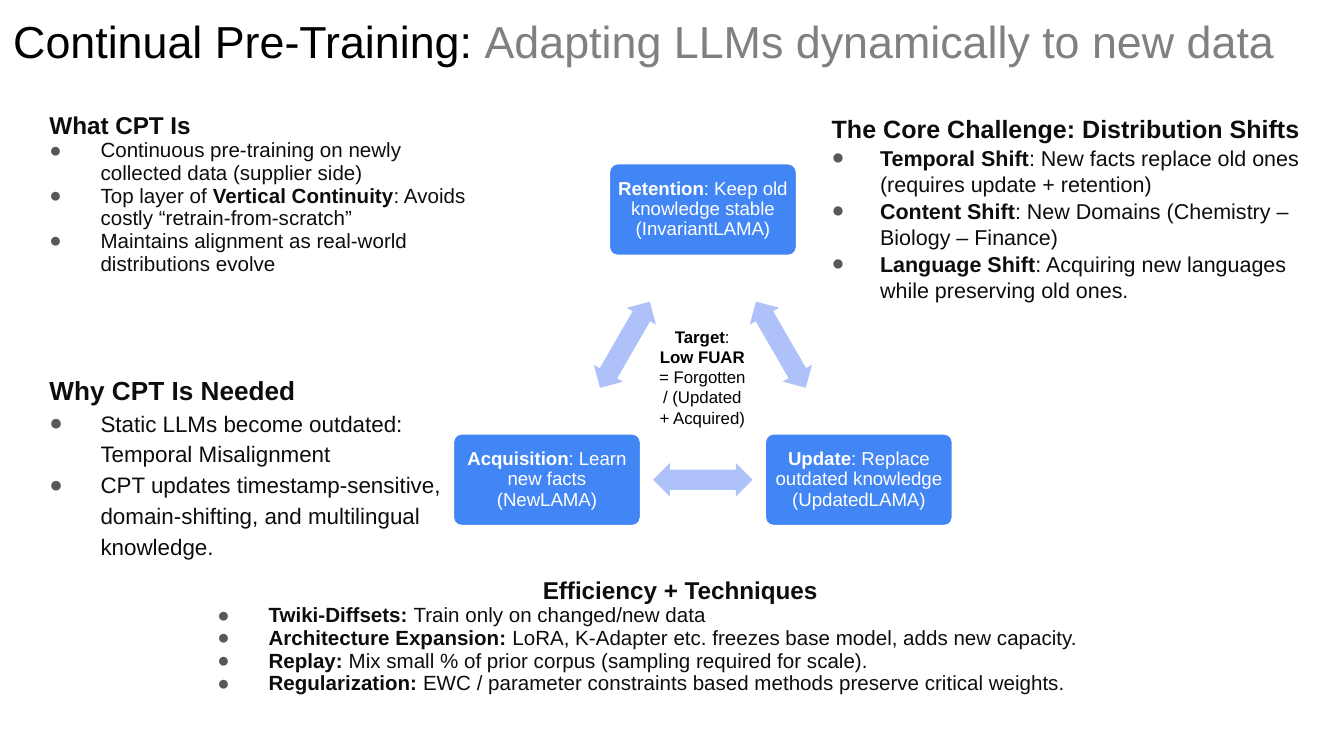
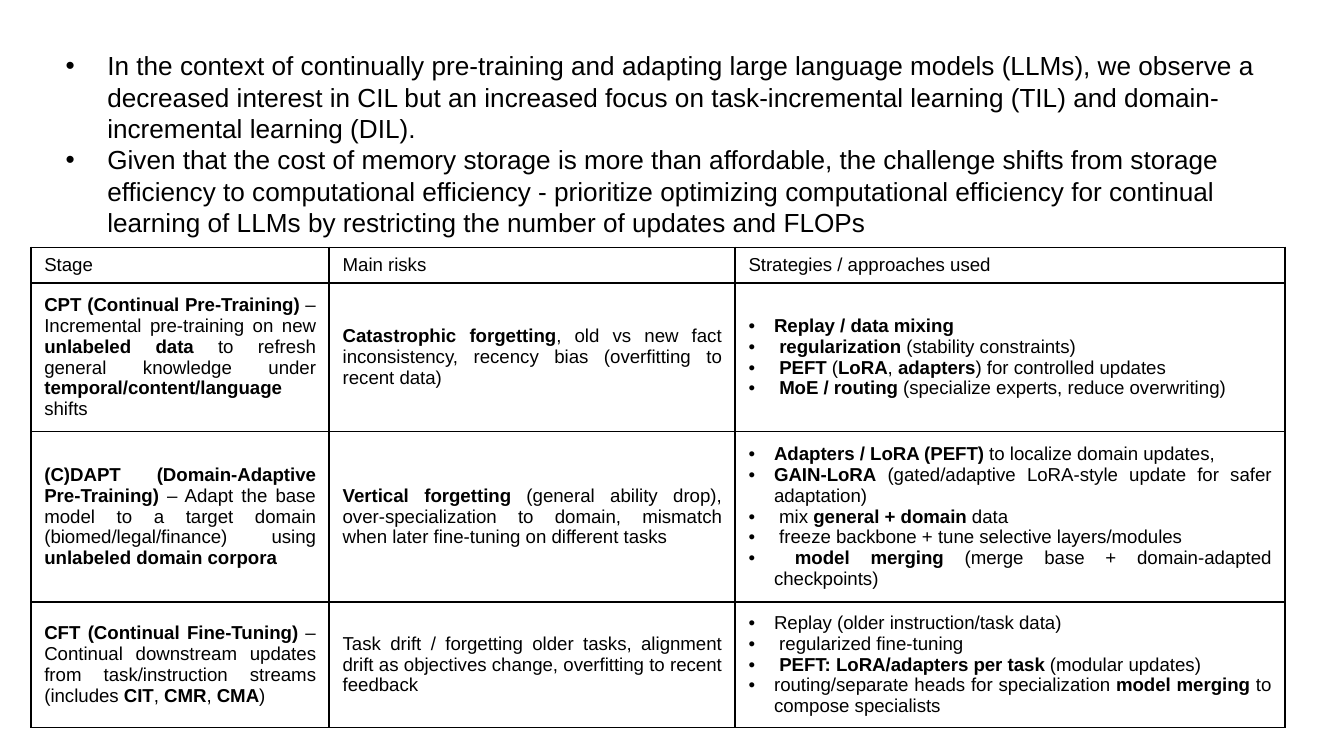
import math

from lxml import etree
from pptx import Presentation
from pptx import util as u
from pptx.dml.color import RGBColor
from pptx.enum import shapes, text
from pptx.oxml import ns

# Shared look; the slide is a grid of 100 columns by 56.25 rows
COLUMNS, ROWS = 100, 56.25
CELL = u.Inches(0.1)
FONT = "Arial"
BLACK, INK, GREY, WHITE = "000000", "0D0D0D", "808080", "FFFFFF"
BULLET_GREY, NODE_BLUE, ARROW_BLUE = "585858", "4285F4", "AEC1F8"
LEFT, CENTER, JUSTIFY = text.PP_ALIGN.LEFT, text.PP_ALIGN.CENTER, text.PP_ALIGN.JUSTIFY

# Headed lists: left, top, width, height, heading size, item size,
# line spacing, text indent, hanging indent, heading alignment, heading, items
SECTIONS = [
    (1.5, 7.4, 35, 17.5, 13, 11, 0.92, 0.5, 0.38, LEFT, "What CPT Is", [
        "Continuous pre-training on newly collected data (supplier side)",
        "Top layer of **Vertical Continuity**: Avoids costly “retrain-from-scratch”",
        "Maintains alignment as real-world distributions evolve"]),
    (1.5, 26.5, 35, 17.5, 14, 12, 1.15, 0.5, 0.38, LEFT, "Why CPT Is Needed", [
        "Static LLMs become outdated: Temporal Misalignment",
        "CPT updates timestamp-sensitive, domain-shifting, and multilingual knowledge."]),
    (59.7, 7.4, 40.3, 17.5, 13.4, 11.5, 1.03, 0.48, 0.36, LEFT,
     "The Core Challenge: Distribution Shifts", [
         "**Temporal Shift**: New facts replace old ones (requires update + retention)",
         "**Content Shift**: New Domains (Chemistry – Biology – Finance)",
         "**Language Shift**: Acquiring new languages while preserving old ones."]),
    (14, 42, 72, 14.3, 13, 11, 0.92, 0.5, 0.38, CENTER, "Efficiency + Techniques", [
        "**Twiki-Diffsets: **Train only on changed/new data",
        "**Architecture Expansion:** LoRA, K-Adapter etc. freezes base model, adds new capacity.",
        "**Replay:** Mix small % of prior corpus (sampling required for scale).",
        "**Regularization:** EWC / parameter constraints based methods preserve critical weights."]),
]

# Cycle nodes, clockwise from the top
NODES = [
    "**Retention**: Keep old knowledge stable (InvariantLAMA)",
    "**Update**: Replace outdated knowledge (UpdatedLAMA)",
    "**Acquisition**: Learn new facts (NewLAMA)",
]

OBSERVATIONS = [
    "In the context of continually pre-training and adapting large language models (LLMs), "
    "we observe a decreased interest in CIL but an increased focus on task-incremental "
    "learning (TIL) and domain-incremental learning (DIL).",
    "Given that the cost of memory storage is more than affordable, the challenge shifts from "
    "storage efficiency to computational efficiency - prioritize optimizing computational "
    "efficiency for continual learning of LLMs by restricting the number of updates and FLOPs",
]

# Table rows grow to fit their text; a list in a cell becomes bullets
STAGE_COLUMNS = [22.2, 30.2, 40.9]
STAGE_ROWS = [0, 7.7, 11, 9.3]
STAGE_HEIGHT = 35.7
STAGES = [
    ["Stage", "Main risks", "Strategies / approaches used"],
    ["**CPT (Continual Pre-Training)** – Incremental pre-training on new **unlabeled data **"
     "to refresh general knowledge under **temporal/content/language** shifts",
     "**Catastrophic forgetting**, old vs new fact inconsistency, recency bias "
     "(overfitting to recent data)",
     ["**Replay / data mixing**",
      " **regularization** (stability constraints)",
      " **PEFT** (**LoRA**, **adapters**) for controlled updates",
      " **MoE / routing** (specialize experts, reduce overwriting)"]],
    ["**(C)DAPT (Domain-Adaptive Pre-Training)** – Adapt the base model to a target domain "
     "(biomed/legal/finance) using **unlabeled domain corpora**",
     "**Vertical forgetting** (general ability drop), over-specialization to domain, "
     "mismatch when later fine-tuning on different tasks",
     ["**Adapters / LoRA (PEFT)** to localize domain updates,",
      "**GAIN-LoRA** (gated/adaptive LoRA-style update for safer adaptation)",
      " mix **general + domain** data",
      " freeze backbone + tune selective layers/modules",
      " **model merging** (merge base + domain-adapted checkpoints)"]],
    ["**CFT (Continual Fine-Tuning)** – Continual downstream updates from task/instruction "
     "streams (includes **CIT**, **CMR**, **CMA**)",
     "Task drift / forgetting older tasks, alignment drift as objectives change, "
     "overfitting to recent feedback",
     ["Replay (older instruction/task data)",
      " regularized fine-tuning",
      " **PEFT: LoRA/adapters per task** (modular updates)",
      "routing/separate heads for specialization **model merging** to compose specialists"]],
]


def color(value):
    return RGBColor.from_string(value)


def grid(*cells):
    return [round(cell * CELL) for cell in cells]


def add_xml(parent, tag, **attributes):
    return etree.SubElement(parent, ns.qn(tag), attributes)


def set_indent(paragraph, margin, first_line):
    properties = paragraph._p.get_or_add_pPr()
    properties.set("marL", str(u.Inches(margin)))
    properties.set("indent", str(u.Inches(first_line)))


def set_bullet(paragraph, character, margin, hanging, bullet_color):
    set_indent(paragraph, margin, -hanging)
    properties = paragraph._p.get_or_add_pPr()
    add_xml(add_xml(properties, "a:buClr"), "a:srgbClr", val=bullet_color)
    add_xml(properties, "a:buFont", typeface=FONT)
    add_xml(properties, "a:buChar", char=character)


def write(paragraph, marked, size, ink=BLACK, align=LEFT, spacing=None):
    """Fill a paragraph; parts between double asterisks are bold."""
    paragraph.alignment = align
    if spacing:
        paragraph.line_spacing = spacing
    for index, part in enumerate(marked.split("**")):
        if part:
            run = paragraph.add_run()
            run.text = part
            run.font.name, run.font.size = FONT, u.Pt(size)
            run.font.bold = index % 2 == 1
            run.font.color.rgb = color(ink)


def paragraphs(frame, count):
    return [frame.paragraphs[0]] + [frame.add_paragraph() for _ in range(count - 1)]


def add_text_box(slide, left, top, width, height, sides=0.1, ends=0.1):
    frame = slide.shapes.add_textbox(*grid(left, top, width, height)).text_frame
    frame.word_wrap = True
    frame.margin_left = frame.margin_right = u.Inches(sides)
    frame.margin_top = frame.margin_bottom = u.Inches(ends)
    return frame


def centered(center_x, center_y, width, height):
    return center_x - width / 2, center_y - height / 2, width, height


def add_shape(slide, kind, box, fill):
    shape = slide.shapes.add_shape(kind, *grid(*box))
    shape.shadow.inherit = False
    shape.fill.solid()
    shape.fill.fore_color.rgb = color(fill)
    shape.line.fill.background()
    return shape


def add_title(slide, topic, message):
    paragraph = add_text_box(slide, 0, 0, 96.6, 7.4).paragraphs[0]
    write(paragraph, topic, 24)
    write(paragraph, message, 24, GREY)


def add_section(slide, left, top, width, height, heading_size, item_size,
                spacing, margin, hanging, align, heading, items):
    frame = add_text_box(slide, left, top, width, height)
    first, *others = paragraphs(frame, len(items) + 1)
    set_indent(first, 0, 0.12)
    write(first, f"**{heading}**", heading_size, INK, align, spacing)
    for paragraph, item in zip(others, items):
        set_bullet(paragraph, "●", margin, hanging, BULLET_GREY)
        write(paragraph, item, item_size, INK, spacing=spacing)


def add_node(slide, center, label):
    node = add_shape(slide, shapes.MSO_SHAPE.ROUNDED_RECTANGLE,
                     centered(*center, 14.1, 7), NODE_BLUE)
    node.adjustments[0] = 0.1
    node.line.color.rgb = color(WHITE)
    node.line.width = u.Pt(2)
    frame = add_text_box(slide, *centered(*center, 13.7, 5.1), 0.04, 0.04)
    frame.vertical_anchor = text.MSO_ANCHOR.MIDDLE
    write(frame.paragraphs[0], label, 10, WHITE, CENTER, 0.9)


def add_cycle(slide, center_x, center_y, radius):
    """Nodes on a circle, with a double arrow halfway to the next node."""
    def point(degrees, distance):
        angle = math.radians(degrees)
        return center_x + distance * math.cos(angle), center_y + distance * math.sin(angle)

    step = 360 / len(NODES)
    for index, label in enumerate(NODES):
        turn = index * step
        add_node(slide, point(turn - 90, radius), label)
        middle = point(turn - 90 + step / 2, radius * math.cos(math.radians(step / 2)))
        arrow = add_shape(slide, shapes.MSO_SHAPE.LEFT_RIGHT_ARROW,
                          centered(*middle, 7.4, 2.5), ARROW_BLUE)
        arrow.adjustments[0], arrow.adjustments[1] = 0.6, 0.5
        arrow.rotation = turn + step / 2


def set_borders(cell):
    properties = cell._tc.get_or_add_tcPr()
    for position, side in enumerate(("a:lnL", "a:lnR", "a:lnT", "a:lnB")):
        line = etree.Element(ns.qn(side), w=str(u.Pt(1)))
        add_xml(add_xml(line, "a:solidFill"), "a:srgbClr", val=BLACK)
        properties.insert(position, line)


def fill_cell(cell, content):
    cell.fill.background()
    set_borders(cell)
    cell.vertical_anchor = text.MSO_ANCHOR.MIDDLE
    bulleted = isinstance(content, list)
    lines = content if bulleted else [content]
    for paragraph, line in zip(paragraphs(cell.text_frame, len(lines)), lines):
        if bulleted:
            set_bullet(paragraph, "•", 0.19, 0.19, BLACK)
        write(paragraph, line, 10, align=JUSTIFY)


def add_stage_table(slide, left, top):
    holder = slide.shapes.add_table(
        len(STAGE_ROWS), len(STAGE_COLUMNS),
        *grid(left, top, sum(STAGE_COLUMNS), STAGE_HEIGHT))
    table = holder.table
    table.first_row = table.horz_banding = False
    for column, width in zip(table.columns, grid(*STAGE_COLUMNS)):
        column.width = width
    for row, height, contents in zip(table.rows, grid(*STAGE_ROWS), STAGES):
        row.height = height
        for cell, content in zip(row.cells, contents):
            fill_cell(cell, content)
    holder.height = grid(STAGE_HEIGHT)[0]


def build_overview(slide):
    add_title(slide, "Continual Pre-Training: ", "Adapting LLMs dynamically to new data")
    for section in SECTIONS:
        add_section(slide, *section)
    add_cycle(slide, 52.3, 29, 13.4)
    target = add_text_box(slide, 48.5, 23.8, 7.5, 7.9, 0.05, 0.05)
    write(target.paragraphs[0],
          "**Target**: **Low FUAR** = Forgotten / (Updated + Acquired)", 9, align=CENTER)


def build_stages(slide):
    add_stage_table(slide, 2.3, 18.4)
    frame = add_text_box(slide, 3.9, 3.2, 92.2, 15.1, 0.1, 0.05)
    for paragraph, observation in zip(paragraphs(frame, len(OBSERVATIONS)), OBSERVATIONS):
        set_bullet(paragraph, "•", 0.31, 0.31, BLACK)
        write(paragraph, observation, 14)


def main():
    presentation = Presentation()
    presentation.slide_width, presentation.slide_height = grid(COLUMNS, ROWS)
    blank = presentation.slide_layouts[6]
    for build in (build_overview, build_stages):
        build(presentation.slides.add_slide(blank))
    presentation.save("out.pptx")


if __name__ == "__main__":
    main()
